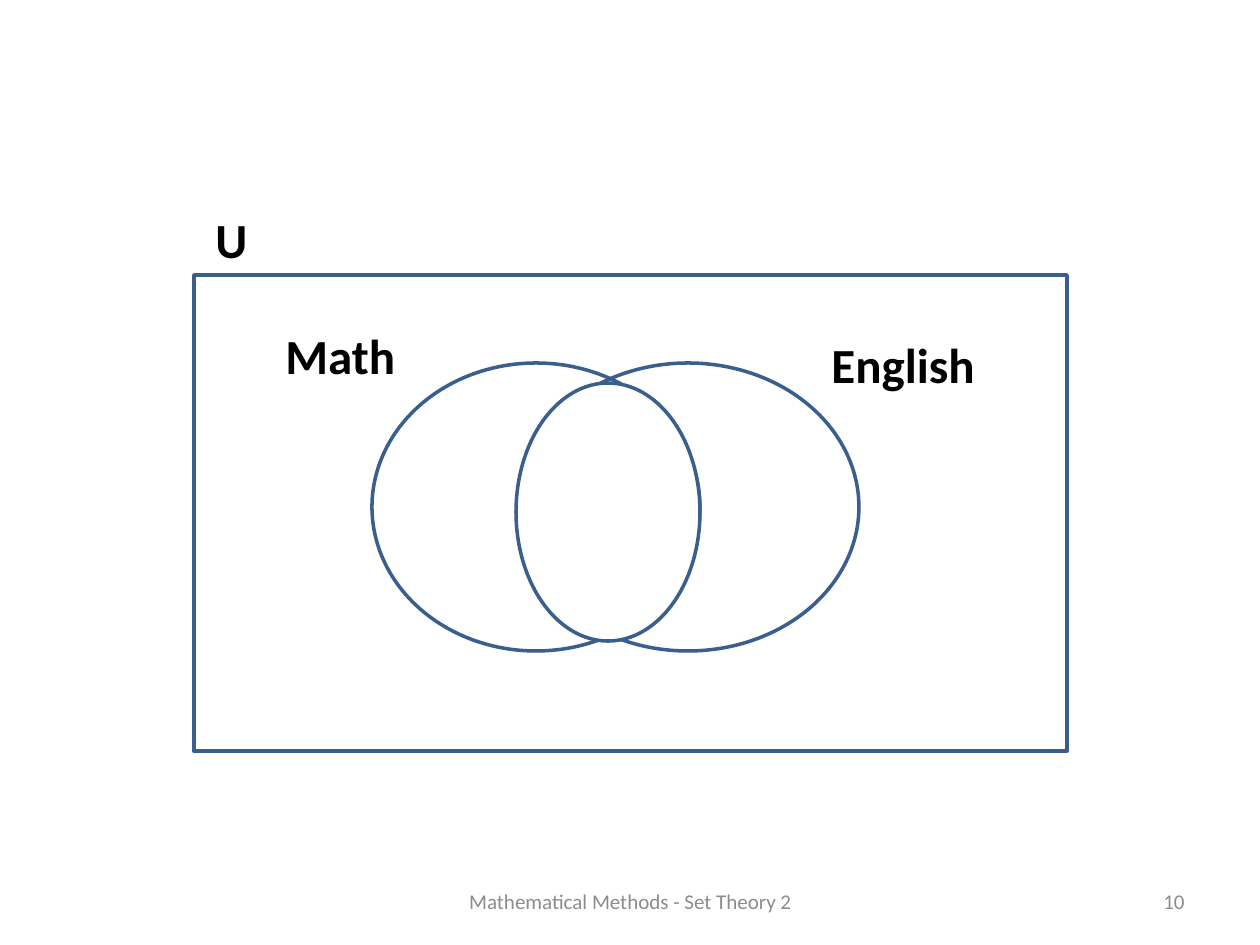
import pptx
import pptx.dml.color
import pptx.enum.shapes
import pptx.enum.text
import pptx.util

EMU_PER_PX = 914400 / 126
SLIDE_SIZE = (1260, 945)

SHAPES = pptx.enum.shapes.MSO_SHAPE
ALIGN = pptx.enum.text.PP_ALIGN
ANCHOR = pptx.enum.text.MSO_ANCHOR

OUTLINE = "3A5F8C"
WHITE = "FFFFFF"

# preset, (left, top, width, height), fill
VENN_PARTS = [
    (SHAPES.RECTANGLE, (194, 275, 873, 476), WHITE),
    (SHAPES.OVAL, (372, 363, 328, 288), None),
    (SHAPES.OVAL, (517, 363, 342, 288), None),
    (SHAPES.OVAL, (516, 383, 184, 258), WHITE),
]
SET_LABELS = [
    ("U", (203, 203, 69, 72)),
    ("Math", (273, 319, 142, 72)),
    ("English", (819, 328, 208, 72)),
]
FOOTERS = [
    ("Mathematical Methods - Set Theory 2", (431, 876, 399, 50), ALIGN.CENTER),
    ("10", (903, 876, 294, 50), ALIGN.RIGHT),
]


def px(*lengths):
    return [pptx.util.Emu(round(length * EMU_PER_PX)) for length in lengths]


def color(hex_code):
    return pptx.dml.color.RGBColor.from_string(hex_code)


def add_venn_part(slide, preset, box, fill):
    shape = slide.shapes.add_shape(preset, *px(*box))
    shape.shadow.inherit = False
    if fill:
        shape.fill.solid()
        shape.fill.fore_color.rgb = color(fill)
    else:
        shape.fill.background()
    shape.line.color.rgb = color(OUTLINE)
    shape.line.width = pptx.util.Pt(2)


def add_text(slide, text, box, size, hex_code, bold=False,
             align=ALIGN.LEFT, anchor=ANCHOR.TOP):
    frame = slide.shapes.add_textbox(*px(*box)).text_frame
    frame.word_wrap = True
    frame.vertical_anchor = anchor
    paragraph = frame.paragraphs[0]
    paragraph.alignment = align
    run = paragraph.add_run()
    run.text = text
    run.font.name = "Calibri"
    run.font.size = pptx.util.Pt(size)
    run.font.bold = bold
    run.font.color.rgb = color(hex_code)


def main():
    presentation = pptx.Presentation()
    presentation.slide_width, presentation.slide_height = px(*SLIDE_SIZE)
    blank_layout = presentation.slide_layouts[6]
    slide = presentation.slides.add_slide(blank_layout)

    for preset, box, fill in VENN_PARTS:
        add_venn_part(slide, preset, box, fill)
    for text, box in SET_LABELS:
        add_text(slide, text, box, 28, "000000", bold=True)
    for text, box, align in FOOTERS:
        add_text(slide, text, box, 12, "8C8C8C", align=align, anchor=ANCHOR.MIDDLE)

    presentation.save("out.pptx")


if __name__ == "__main__":
    main()
